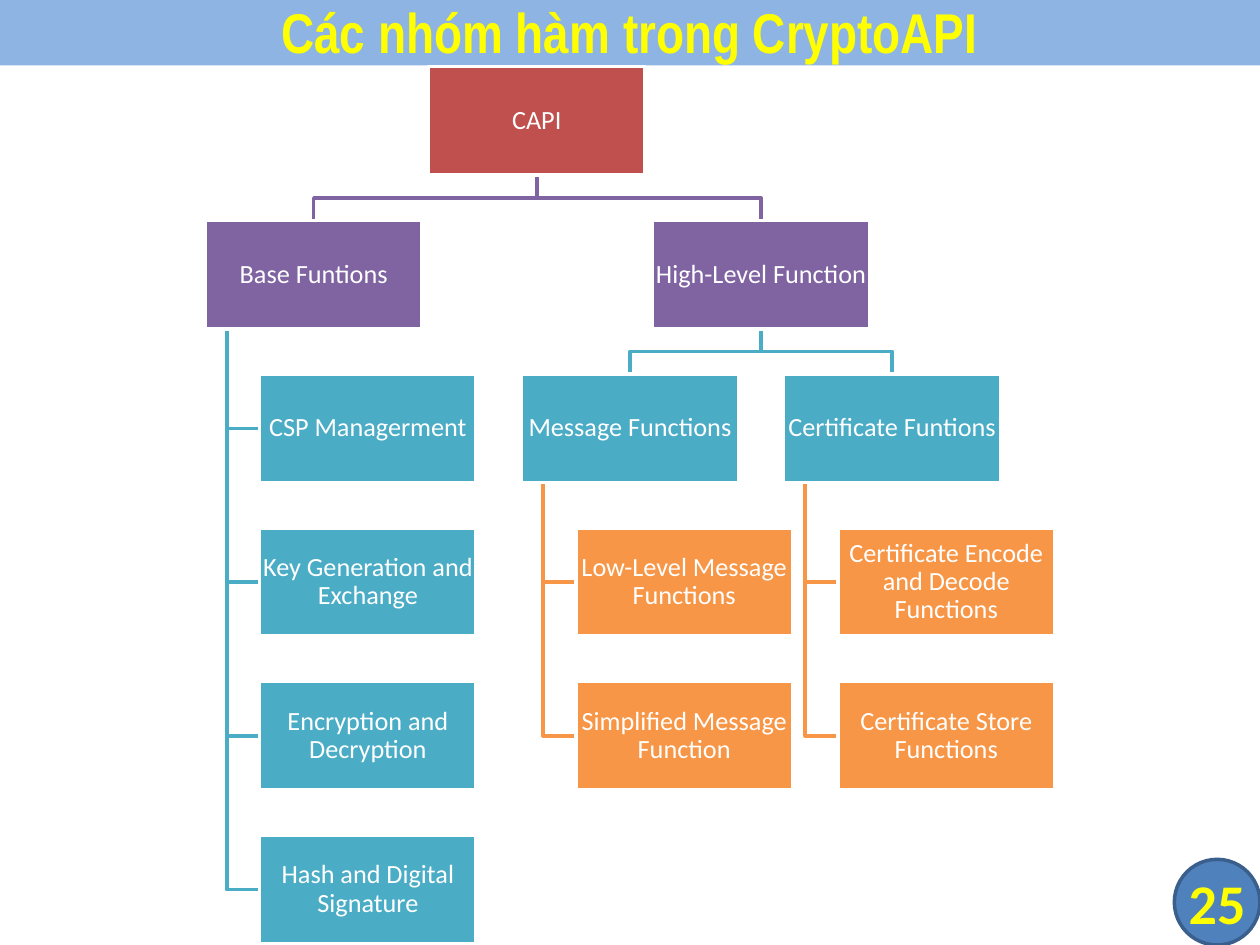
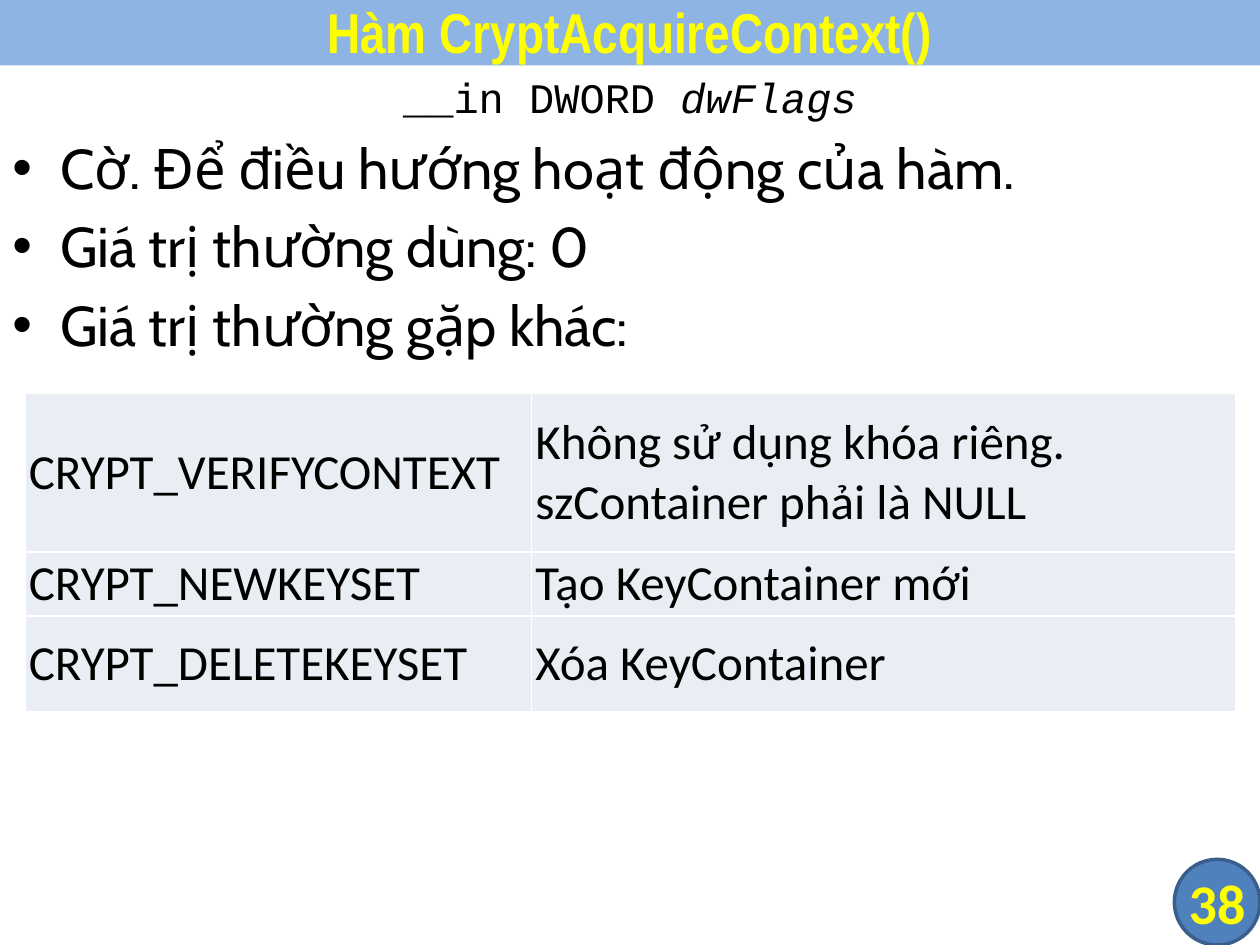
from pptx import Presentation
from pptx.dml.color import RGBColor
from pptx.enum.shapes import MSO_SHAPE
from pptx.enum.text import MSO_ANCHOR, PP_ALIGN
from pptx.oxml.ns import qn
from pptx.util import Inches, Pt
from lxml.etree import SubElement

WHITE = RGBColor(0xFF, 0xFF, 0xFF)
BLACK = RGBColor(0, 0, 0)
YELLOW = RGBColor(0xFF, 0xFF, 0)
BAND = RGBColor(0x8E, 0xB4, 0xE3)
BADGE = RGBColor(0x4F, 0x81, 0xBD)
BADGE_EDGE = RGBColor(0x3A, 0x5F, 0x8C)
RED = RGBColor(0xC0, 0x50, 0x4D)
PURPLE = RGBColor(0x80, 0x64, 0xA2)
TEAL = RGBColor(0x4B, 0xAC, 0xC6)
ORANGE = RGBColor(0xF7, 0x96, 0x46)
CELL = RGBColor(0xE9, 0xED, 0xF4)


def add_run(paragraph, text, size, font, color, bold=False, italic=False):
    run = paragraph.add_run()
    run.text = text
    run.font.size = Pt(size)
    run.font.name = font
    run.font.color.rgb = color
    run.font.bold = bold
    run.font.italic = italic


def add_panel(slide, preset, left, top, width, height, fill, edge, inset):
    panel = slide.shapes.add_shape(
        preset, Inches(left), Inches(top), Inches(width), Inches(height))
    panel.shadow.inherit = False
    panel.fill.solid()
    panel.fill.fore_color.rgb = fill
    if edge is None:
        panel.line.fill.background()
    else:
        panel.line.color.rgb = edge
        panel.line.width = Pt(2)
    frame = panel.text_frame
    frame.word_wrap = True
    frame.vertical_anchor = MSO_ANCHOR.MIDDLE
    frame.margin_left = frame.margin_right = Inches(inset)
    frame.margin_top = frame.margin_bottom = Inches(inset)
    frame.paragraphs[0].alignment = PP_ALIGN.CENTER
    return frame.paragraphs[0]


deck = Presentation()
deck.slide_width = Inches(10)
deck.slide_height = Inches(7.5)

slides = []
for title, number in [("Các nhóm hàm trong CryptoAPI", "25"),
                      ("Hàm CryptAcquireContext()", "38")]:
    slide = deck.slides.add_slide(deck.slide_layouts[6])
    heading = add_panel(slide, MSO_SHAPE.RECTANGLE, 0, -0.03, 10, 0.55, BAND, None, 0.05)
    add_run(heading, title, 32, "Arial Narrow", YELLOW, bold=True)
    badge = add_panel(slide, MSO_SHAPE.FLOWCHART_CONNECTOR, 9.32, 6.82, 0.68, 0.68,
                      BADGE, BADGE_EDGE, 0)
    badge_frame = slide.shapes[-1].text_frame
    badge_frame.word_wrap = False
    add_run(badge, number, 32, "Calibri", YELLOW, bold=True)
    slides.append(slide)
tree_slide, flags_slide = slides

BOX_W, BOX_H = 1.72, 0.86
TREE_TOP, ROW_PITCH = 0.53, 1.22
INDENT, STEM = 0.43, 0.17
BASE, HIGH, MESSAGE, CERTIFICATE = 1.63, 5.18, 4.14, 6.22

nodes = [
    ("CAPI", 3.4, 0, RED, None),
    ("Base Funtions", BASE, 1, PURPLE, (3.4, 0)),
    ("High-Level Function", HIGH, 1, PURPLE, (3.4, 0)),
    ("Message Functions", MESSAGE, 2, TEAL, (HIGH, 1)),
    ("Certificate Funtions", CERTIFICATE, 2, TEAL, (HIGH, 1)),
]
hanging_lists = [
    (BASE, 1, TEAL, ["CSP Managerment", "Key Generation and Exchange",
                     "Encryption and Decryption", "Hash and Digital Signature"]),
    (MESSAGE, 2, ORANGE, ["Low-Level Message Functions", "Simplified Message Function"]),
    (CERTIFICATE, 2, ORANGE, ["Certificate Encode and Decode Functions",
                              "Certificate Store Functions"]),
]
branches = []
for name, left, row, color, parent in nodes:
    if parent:
        parent_left, parent_row = parent
        start_x = parent_left + BOX_W / 2
        start_y = TREE_TOP + parent_row * ROW_PITCH + BOX_H
        end_x = left + BOX_W / 2
        end_y = TREE_TOP + row * ROW_PITCH
        middle = (start_y + end_y) / 2
        branches.append((color, [(start_x, start_y), (start_x, middle),
                                 (end_x, middle), (end_x, end_y)]))
for parent_left, parent_row, color, names in hanging_lists:
    for row, name in enumerate(names, parent_row + 1):
        left = parent_left + INDENT
        nodes.append((name, left, row, color, None))
        stem_x = parent_left + STEM
        start_y = TREE_TOP + parent_row * ROW_PITCH + BOX_H
        end_y = TREE_TOP + row * ROW_PITCH + BOX_H / 2
        branches.append((color, [(stem_x, start_y), (stem_x, end_y), (left, end_y)]))

for color, points in branches:
    corners = [(Inches(x), Inches(y)) for x, y in points]
    builder = tree_slide.shapes.build_freeform(*corners[0])
    builder.add_line_segments(corners[1:], close=False)
    branch = builder.convert_to_shape()
    branch.shadow.inherit = False
    branch.fill.background()
    branch.line.color.rgb = color
    branch.line.width = Pt(2)

for name, left, row, color, parent in nodes:
    label = add_panel(tree_slide, MSO_SHAPE.RECTANGLE, left, TREE_TOP + row * ROW_PITCH,
                      BOX_W, BOX_H, color, WHITE, 0.01)
    label.line_spacing = 0.9
    add_run(label, name, 15, "Calibri", WHITE)

body = flags_slide.shapes.add_textbox(0, Inches(0.52), Inches(10), Inches(6.98)).text_frame
body.word_wrap = True
signature = body.paragraphs[0]
signature.alignment = PP_ALIGN.CENTER
signature.space_before = Pt(4.8)
add_run(signature, "__in DWORD ", 24, "Courier New", BLACK)
add_run(signature, "dwFlags", 24, "Courier New", BLACK, italic=True)
for point in ["Cờ. Để điều hướng hoạt động của hàm.",
              "Giá trị thường dùng: 0",
              "Giá trị thường gặp khác:"]:
    bullet = body.add_paragraph()
    bullet.space_before = Pt(6.4)
    properties = bullet._p.get_or_add_pPr()
    properties.set("marL", str(Inches(0.38)))
    properties.set("indent", str(-Inches(0.38)))
    SubElement(properties, qn("a:buFont")).set("typeface", "Arial")
    SubElement(properties, qn("a:buChar")).set("char", "•")
    add_run(bullet, point, 32, "Cabin", BLACK)

flags = [
    ("CRYPT_VERIFYCONTEXT", ["Không sử dụng khóa riêng.", "szContainer phải là NULL"]),
    ("CRYPT_NEWKEYSET", ["Tạo KeyContainer mới"]),
    ("CRYPT_DELETEKEYSET", ["Xóa KeyContainer"]),
]
table = flags_slide.shapes.add_table(
    3, 2, Inches(0.2), Inches(3.12), Inches(9.61), Inches(2.53)).table
for column, width in zip(table.columns, [4.02, 5.59]):
    column.width = Inches(width)
for row, height in zip(table.rows, [1.26, 0.51, 0.76]):
    row.height = Inches(height)
for row, (flag, meaning) in enumerate(flags):
    for column, lines in enumerate([[flag], meaning]):
        cell = table.cell(row, column)
        cell.vertical_anchor = MSO_ANCHOR.MIDDLE
        cell.margin_left = cell.margin_right = Inches(0.03)
        cell.margin_top = cell.margin_bottom = 0
        cell_properties = cell._tc.get_or_add_tcPr()
        for side in ["a:lnL", "a:lnR", "a:lnT", "a:lnB"]:
            border = SubElement(cell_properties, qn(side))
            border.set("w", str(Pt(1)))
            border_fill = SubElement(border, qn("a:solidFill"))
            SubElement(border_fill, qn("a:srgbClr")).set("val", str(WHITE))
        cell.fill.solid()
        cell.fill.fore_color.rgb = CELL
        for index, line in enumerate(lines):
            frame = cell.text_frame
            paragraph = frame.add_paragraph() if index else frame.paragraphs[0]
            add_run(paragraph, line, 28, "Calibri", BLACK)

deck.save("out.pptx")
